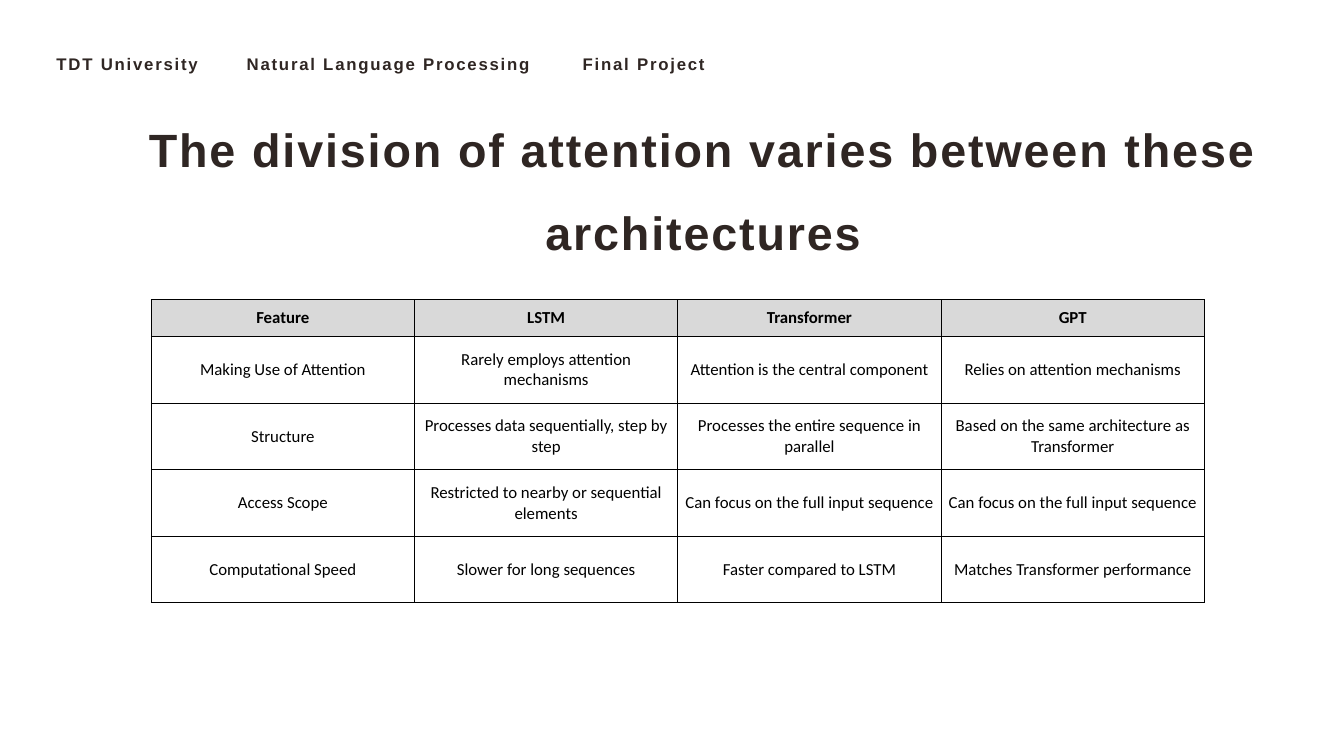
from dataclasses import dataclass

from lxml import etree
from pptx import Presentation
from pptx import util as u
from pptx.dml.color import RGBColor
from pptx.enum import text
from pptx.oxml import ns


@dataclass(frozen=True)
class Theme:
    ink: str = "2F2623"
    black: str = "000000"
    white: str = "FFFFFF"
    header_fill: str = "D9D9D9"
    heading_font: str = "Arial"
    table_font: str = "Calibri"
    body_size: float = 18
    title_size: float = 50
    border_width: float = 1


THEME = Theme()

HEADER_ITEMS = [
    ("TDT University", 0, 185.8),
    ("Natural Language Processing", 203.8, 376.6),
    ("Final Project", 563.8, 191.5),
]
TITLE = "The division of attention varies between these architectures"
FEATURES = [
    ("Feature", "LSTM", "Transformer", "GPT"),
    ("Making Use of Attention", "Rarely employs attention mechanisms",
     "Attention is the central component", "Relies on attention mechanisms"),
    ("Structure", "Processes data sequentially, step by step",
     "Processes the entire sequence in parallel",
     "Based on the same architecture as Transformer"),
    ("Access Scope", "Restricted to nearby or sequential elements",
     "Can focus on the full input sequence",
     "Can focus on the full input sequence"),
    ("Computational Speed", "Slower for long sequences",
     "Faster compared to LSTM", "Matches Transformer performance"),
]


def set_attributes(target, values):
    for name, value in values.items():
        setattr(target, name, value)


def write_text(frame, words, font, size, color, bold, alignment):
    paragraph = frame.paragraphs[0]
    paragraph.alignment = alignment
    run = paragraph.add_run()
    run.text = words
    set_attributes(run.font, {"name": font, "size": u.Pt(size), "bold": bold})
    run.font.color.rgb = RGBColor.from_string(color)
    return paragraph, run


def add_heading(slide, box, words, size, line_height, tracking, alignment):
    frame = slide.shapes.add_textbox(*map(u.Pt, box)).text_frame
    set_attributes(frame, {
        "word_wrap": True,
        "auto_size": text.MSO_AUTO_SIZE.SHAPE_TO_FIT_TEXT,
        "margin_left": 0, "margin_right": 0,
        "margin_top": 0, "margin_bottom": 0,
    })
    paragraph, run = write_text(
        frame, words, THEME.heading_font, size, THEME.ink, True, alignment)
    paragraph.line_spacing = u.Pt(line_height)
    run.font._element.set("spc", str(round(tracking * 100)))


def add_header(slide, box):
    left, top, width, height = box
    for words, offset, item_width in HEADER_ITEMS:
        add_heading(slide, (left + offset, top, item_width, height), words,
                    THEME.body_size, 21.2, 1.9, text.PP_ALIGN.LEFT)


def add_title(slide, box):
    add_heading(slide, box, TITLE, THEME.title_size, 89.7, 2,
                text.PP_ALIGN.CENTER)


def add_borders(cell):
    properties = cell._tc.get_or_add_tcPr()
    for side in ("L", "R", "T", "B"):
        line = etree.SubElement(properties, ns.qn(f"a:ln{side}"),
                                w=str(u.Pt(THEME.border_width)))
        fill = etree.SubElement(line, ns.qn("a:solidFill"))
        etree.SubElement(fill, ns.qn("a:srgbClr"), val=THEME.black)


def add_feature_table(slide, box, header_height):
    left, top, width, height = box
    row_count, column_count = len(FEATURES), len(FEATURES[0])
    table = slide.shapes.add_table(
        row_count, column_count, *map(u.Pt, box)).table
    body_height = (height - header_height) / (row_count - 1)
    for column in table.columns:
        column.width = u.Pt(width / column_count)
    for row_index, row in enumerate(FEATURES):
        is_header = row_index == 0
        table.rows[row_index].height = u.Pt(
            header_height if is_header else body_height)
        for column_index, words in enumerate(row):
            cell = table.cell(row_index, column_index)
            cell.vertical_anchor = text.MSO_ANCHOR.MIDDLE
            add_borders(cell)
            cell.fill.solid()
            cell.fill.fore_color.rgb = RGBColor.from_string(
                THEME.header_fill if is_header else THEME.white)
            write_text(cell.text_frame, words, THEME.table_font,
                       THEME.body_size, THEME.black, is_header,
                       text.PP_ALIGN.CENTER)


def main():
    presentation = Presentation()
    set_attributes(presentation, {
        "slide_width": u.Pt(1440), "slide_height": u.Pt(810)})
    slide = presentation.slides.add_slide(presentation.slide_layouts[6])
    add_header(slide, (60.5, 58.3, 755.3, 21))
    add_title(slide, (60.5, 99.4, 1386, 174.2))
    add_feature_table(slide, (162, 321.1, 1128.5, 324.8), 39.6)
    presentation.save("out.pptx")


if __name__ == "__main__":
    main()
